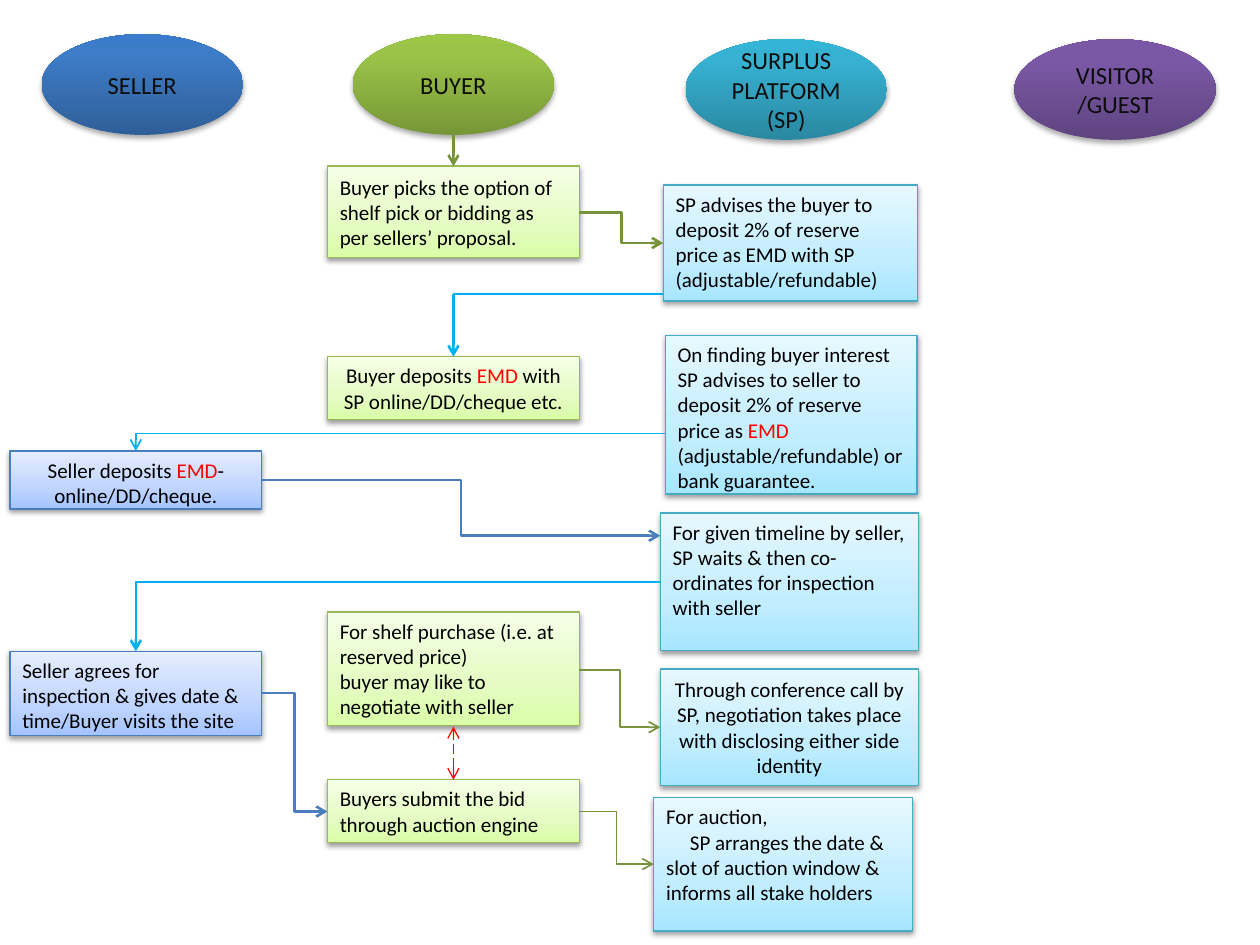
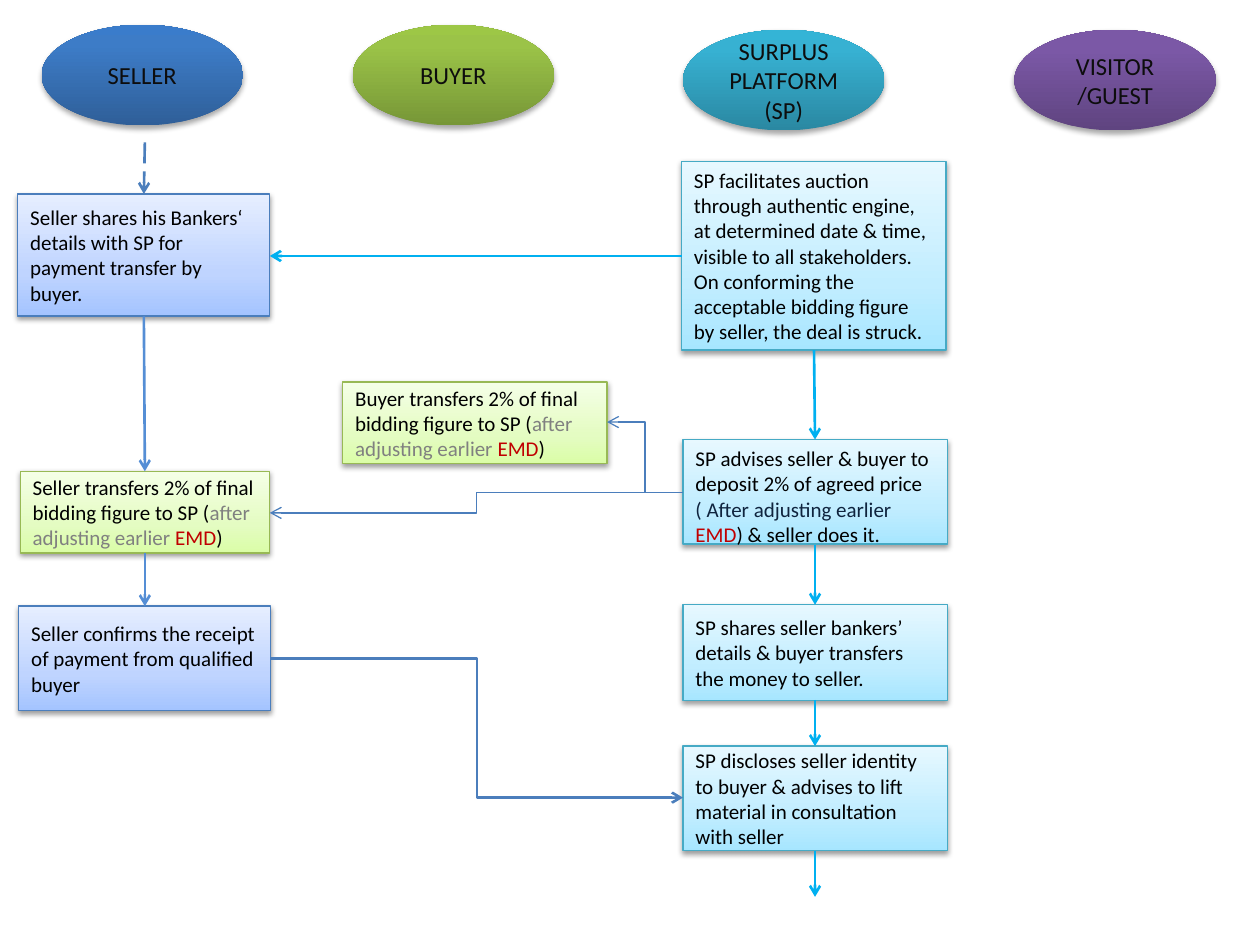
import copy
import lxml.etree
import pptx
import pptx.dml.color
import pptx.enum.dml
import pptx.enum.shapes
import pptx.enum.text
import pptx.oxml.ns
import pptx.util

Cm = pptx.util.Cm
Pt = pptx.util.Pt
RGBColor = pptx.dml.color.RGBColor
qn = pptx.oxml.ns.qn
Shape = pptx.enum.shapes.MSO_SHAPE
Wire = pptx.enum.shapes.MSO_CONNECTOR
Align = pptx.enum.text.PP_ALIGN
Anchor = pptx.enum.text.MSO_ANCHOR

BLACK = RGBColor(0x00, 0x00, 0x00)
INK = RGBColor(0x0D, 0x0D, 0x0D)
NAVY = RGBColor(0x0F, 0x24, 0x3E)
GREY = RGBColor(0x80, 0x80, 0x80)
RED = RGBColor(0xFF, 0x00, 0x00)
DARK_RED = RGBColor(0xC0, 0x00, 0x00)
BLUE = RGBColor(0x4B, 0x7E, 0xBC)
PALE = RGBColor(0x55, 0x8E, 0xD5)
SKY = RGBColor(0x00, 0xB0, 0xF0)
OLIVE = RGBColor(0x77, 0x93, 0x3C)
GREEN = RGBColor(0x98, 0xB9, 0x55)
TEAL = RGBColor(0x46, 0xAA, 0xC5)

# Per lane: the three shades from bottom to top, then the edge
STEPS = (RGBColor(0xA4, 0xC4, 0xFF), RGBColor(0xBF, 0xD4, 0xFF),
         RGBColor(0xE6, 0xEE, 0xFF), BLUE)
BUYS = (RGBColor(0xDA, 0xFD, 0xA7), RGBColor(0xE4, 0xFC, 0xC2),
        RGBColor(0xF5, 0xFF, 0xE7), GREEN)
PLANS = (RGBColor(0xA7, 0xE6, 0xFF), RGBColor(0xC1, 0xED, 0xFF),
         RGBColor(0xE7, 0xF8, 0xFF), TEAL)
SELLER = (RGBColor(0x2F, 0x5F, 0x99), RGBColor(0x3D, 0x7C, 0xC7),
          RGBColor(0x3A, 0x7C, 0xCB), None)
BUYER = (RGBColor(0x77, 0x97, 0x37), RGBColor(0x9B, 0xC3, 0x48),
         RGBColor(0x9D, 0xC7, 0x46), None)
HOST = (RGBColor(0x2A, 0x88, 0xA2), RGBColor(0x37, 0xB1, 0xD2),
        RGBColor(0x34, 0xB4, 0xD6), None)
GUEST = (RGBColor(0x5F, 0x44, 0x80), RGBColor(0x7B, 0x58, 0xA6),
         RGBColor(0x7C, 0x57, 0xA8), None)

LEFT, MID = Align.LEFT, Align.CENTER
TOP, HALF = Anchor.TOP, Anchor.MIDDLE


def add_box(slide, look, place, paras, align, anchor, indent=0):
    """Add a shaded oval (no edge) or step box; indent shifts the last paragraph."""
    *shades, edge = look
    oval = edge is None
    shape = slide.shapes.add_shape(Shape.OVAL if oval else Shape.RECTANGLE,
                                   *[Cm(n) for n in place])
    shape.fill.gradient()
    shape.fill.gradient_angle = 90
    first = shape._element.spPr.find(".//" + qn("a:gs"))
    first.addnext(copy.deepcopy(first))
    spots = (0, 0.8 if oval else 0.35, 1)
    for stop, shade, spot in zip(shape.fill.gradient_stops, shades, spots):
        stop.color.rgb = shade
        stop.position = spot
    if oval:
        shape.line.fill.background()
    else:
        shape.line.color.rgb = edge
        shape.line.width = Pt(0.75)

    shape.shadow.inherit = False
    glow = lxml.etree.SubElement(
        shape._element.spPr.find(qn("a:effectLst")), qn("a:outerShdw"),
        blurRad="40000", dist="23000" if oval else "20000", dir="5400000",
        rotWithShape="0")
    tint = lxml.etree.SubElement(glow, qn("a:srgbClr"), val="000000")
    lxml.etree.SubElement(tint, qn("a:alpha"), val="35000" if oval else "38000")

    frame = shape.text_frame
    frame.word_wrap = True
    frame.vertical_anchor = anchor
    for i, runs in enumerate(paras):
        para = frame.add_paragraph() if i else frame.paragraphs[0]
        para.alignment = align
        for part in runs:
            text, color = (part, INK if oval else BLACK) if isinstance(part, str) else part
            run = para.add_run()
            run.text = text
            run.font.name = "Calibri"
            run.font.size = Pt(14 if oval else 12)
            run.font.color.rgb = color
    if indent:
        para._p.get_or_add_pPr().set("indent", str(Cm(indent)))


def add_link(slide, kind, color, width, ends, heads="tail", dash=False):
    """Add a straight, bent or one-corner connector with open arrowheads."""
    wire = slide.shapes.add_connector(
        Wire.STRAIGHT if kind == "line" else Wire.ELBOW, *[Cm(n) for n in ends])
    props = wire._element.spPr
    if kind == "corner":
        props.find(qn("a:prstGeom")).set("prst", "bentConnector2")
    wire.line.color.rgb = color
    wire.line.width = Pt(width)
    if dash:
        wire.line.dash_style = pptx.enum.dml.MSO_LINE.LONG_DASH
    for end in heads.split():
        lxml.etree.SubElement(props.find(qn("a:ln")), qn("a:" + end + "End"), type="arrow")
    lxml.etree.SubElement(props, qn("a:effectLst"))


deck = pptx.Presentation()
deck.slide_width, deck.slide_height = Cm(25.4), Cm(19.05)
blank = deck.slide_layouts[6]
bid, deal = [deck.slides.add_slide(blank) for _ in range(2)]

# Role ovals heading the four lanes
for slide, top, host in ((bid, 0.69, 13.82), (deal, 0.5, 13.77)):
    for look, left, drop, name, indent in (
            (SELLER, 0.84, 0, "SELLER", 0),
            (BUYER, 7.11, 0, "BUYER", 0),
            (HOST, host, 0.1, "SURPLUS PLATFORM (SP)", 0),
            (GUEST, 20.45, 0.1, "VISITOR /GUEST", -0.56)):
        add_box(slide, look, (left, top + drop, 4.06, 2.03), [[name]], MID, HALF, indent)

# Slide 1: deposits, inspection, then shelf purchase or auction
for box in (
        (BUYS, (6.6, 3.35, 5.08, 1.85),
         [["Buyer picks the option of shelf pick or bidding as per sellers’ proposal."]],
         LEFT, HALF),
        (PLANS, (13.37, 3.73, 5.13, 2.34),
         [["SP advises the buyer to deposit 2% of reserve price as EMD with SP "
           "(adjustable/refundable)"]], LEFT, TOP),
        (BUYS, (6.6, 7.19, 5.08, 1.27),
         [["Buyer deposits ", ("EMD", RED), " with SP online/DD/cheque etc."]], MID, TOP),
        (PLANS, (13.41, 6.76, 5.08, 3.2),
         [["On finding buyer interest"],
          ["SP advises to seller to deposit 2% of reserve price as", (" EMD ", RED),
           "(adjustable/refundable) or bank guarantee."]], LEFT, TOP),
        (STEPS, (0.2, 9.09, 5.08, 1.17),
         [["Seller deposits ", ("EMD", RED), "-"], ["online/DD/cheque."]], MID, TOP),
        (PLANS, (13.31, 10.34, 5.21, 2.77),
         [["For given timeline by seller,"],
          ["SP waits & then co-ordinates for inspection with seller"]], LEFT, TOP),
        (STEPS, (0.2, 13.13, 5.08, 1.7),
         [["Seller agrees for inspection & gives date & time/Buyer visits the site"]],
         LEFT, TOP),
        (BUYS, (6.6, 15.72, 5.08, 1.27),
         [["Buyers submit the bid through auction engine"]], LEFT, TOP),
        (PLANS, (13.18, 16.08, 5.21, 2.69),
         [["For auction,"],
          ["SP arranges the date & slot of auction window & informs all stake holders"]],
         LEFT, TOP, 0.48),
        (BUYS, (6.6, 12.34, 5.08, 2.29),
         [["For shelf purchase (i.e. at reserved price)"],
          ["buyer may like to negotiate with seller"]], LEFT, TOP),
        (PLANS, (13.31, 13.49, 5.21, 2.34),
         [["Through conference call by SP, negotiation takes place with disclosing "
           "either side identity"]], MID, HALF)):
    add_box(bid, *box)

for link in (
        ("line", OLIVE, 1.5, (9.14, 2.72, 9.14, 3.35)),
        ("bend", OLIVE, 1.5, (11.68, 4.29, 13.37, 4.9)),
        ("line", SKY, 1, (13.37, 5.92, 9.14, 5.92), ""),
        ("line", SKY, 1.5, (9.14, 5.92, 9.14, 7.19)),
        ("corner", SKY, 1, (13.41, 8.74, 2.74, 9.09)),
        ("bend", BLUE, 1.5, (5.28, 9.68, 13.31, 10.8)),
        ("corner", SKY, 1.5, (13.31, 11.73, 2.74, 13.13)),
        ("bend", BLUE, 1.5, (5.28, 13.97, 6.6, 16.36)),
        ("line", RED, 0.75, (9.14, 15.72, 9.14, 14.65), "head tail", True),
        ("bend", OLIVE, 1, (11.68, 13.51, 13.31, 14.66)),
        ("bend", OLIVE, 1, (11.68, 16.36, 13.18, 17.42))):
    add_link(bid, *link)

# Slide 2: auction, payment and hand-over
fee = [" transfers 2% of final bidding figure to SP (", ("after adjusting earlier ", GREY),
       ("EMD", DARK_RED), ")"]
for box in (
        (STEPS, (0.36, 3.91, 5.08, 2.46),
         [["Seller shares his Bankers‘ details with SP for payment transfer by buyer."]],
         LEFT, HALF),
        (PLANS, (13.74, 3.25, 5.33, 3.81),
         [["SP facilitates auction through authentic engine, at determined date & time, "
           "visible to all stakeholders. On conforming the acceptable bidding figure "
           "by seller, the deal is struck."]], LEFT, HALF),
        (PLANS, (13.77, 8.86, 5.33, 2.11),
         [["SP advises seller & buyer to deposit 2% of agreed price ",
           ("(\u00a0After adjusting earlier ", NAVY), ("EMD", DARK_RED),
           ") & seller does it."]], LEFT, TOP),
        (PLANS, (13.77, 12.19, 5.33, 1.93),
         [["SP shares seller bankers’ details & buyer transfers the money to seller."]],
         LEFT, HALF),
        (PLANS, (13.77, 15.04, 5.33, 2.11),
         [["SP discloses seller identity to buyer & advises to lift material in "
           "consultation with seller"]], LEFT, HALF),
        (BUYS, (6.91, 7.7, 5.33, 1.65), [["Buyer" + fee[0], *fee[1:]]], LEFT, HALF),
        (BUYS, (0.41, 9.5, 5.03, 1.65), [["Seller" + fee[0], *fee[1:]]], LEFT, HALF),
        (STEPS, (0.38, 12.22, 5.08, 2.11),
         [["Seller confirms the receipt of payment from qualified buyer"]], LEFT, HALF)):
    add_box(deal, *box)

for link in (
        ("line", BLUE, 1.5, (2.92, 2.87, 2.9, 3.91), "tail", True),
        ("line", SKY, 1.5, (13.74, 5.16, 5.44, 5.16)),
        ("line", PALE, 1.5, (2.9, 6.38, 2.92, 9.5)),
        ("line", PALE, 1.5, (2.92, 11.15, 2.92, 12.22)),
        ("line", SKY, 1.5, (16.41, 7.06, 16.43, 8.86)),
        ("line", SKY, 1.5, (16.43, 10.98, 16.43, 12.19)),
        ("line", SKY, 1.5, (16.43, 14.11, 16.43, 15.04)),
        ("line", SKY, 1.5, (16.43, 17.15, 16.43, 18.08)),
        ("bend", BLUE, 0.75, (13.77, 9.93, 12.24, 8.51)),
        ("bend", BLUE, 0.75, (13.77, 9.93, 5.44, 10.34)),
        ("bend", BLUE, 1.5, (5.46, 13.28, 13.77, 16.08))):
    add_link(deal, *link)

deck.save("out.pptx")
